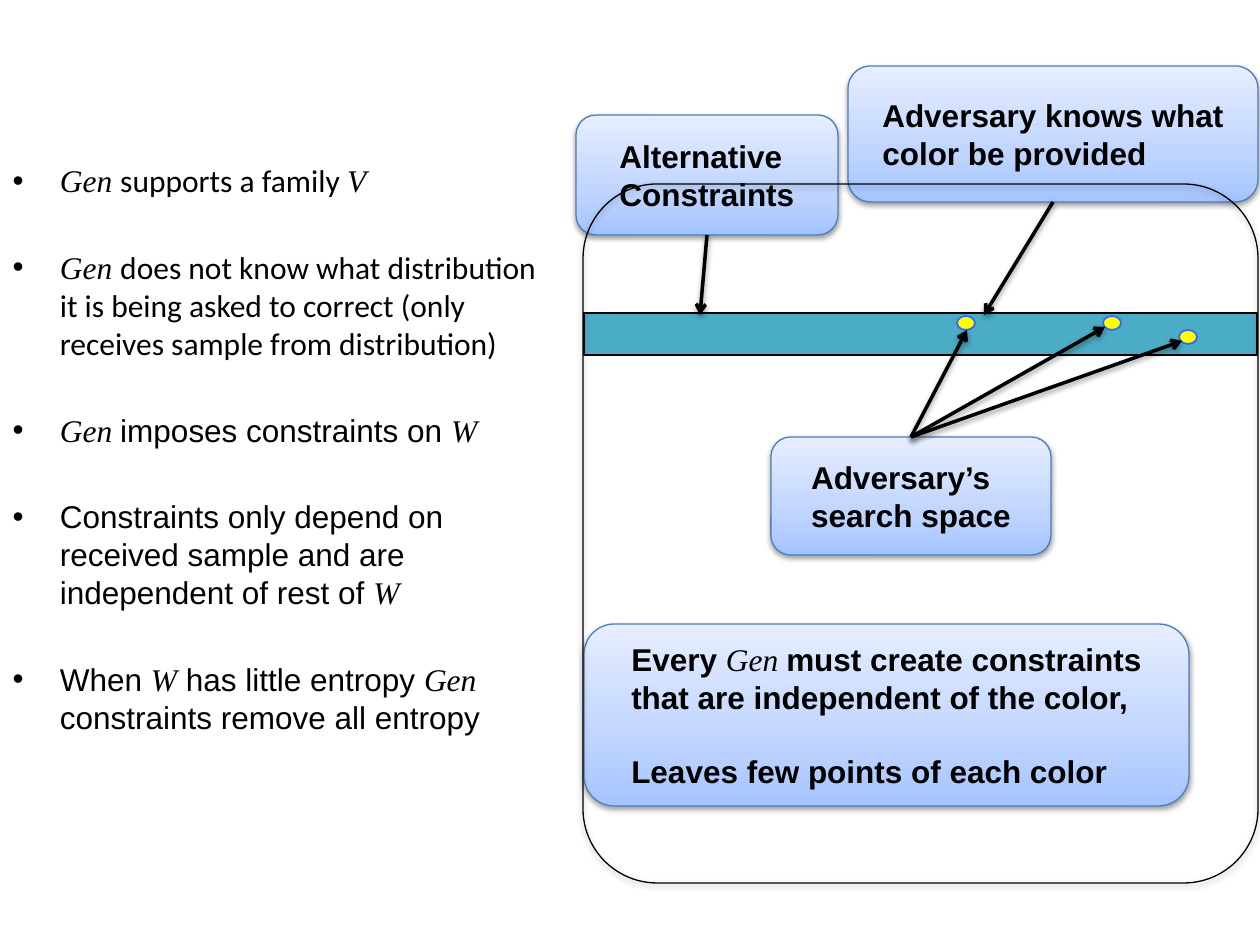
"""Build the slide on constraints that Gen imposes and the adversary's search space."""
from copy import deepcopy

from lxml import etree
from pptx import Presentation
from pptx.dml.color import RGBColor
from pptx.enum.shapes import MSO_CONNECTOR as Connector, MSO_SHAPE as Shape
from pptx.enum.text import MSO_ANCHOR as Anchor, MSO_AUTO_SIZE as AutoSize, PP_ALIGN as Align
from pptx.oxml import parse_xml
from pptx.oxml.ns import nsdecls, qn
from pptx.util import Pt

SCALE = 914400 / 126
BLACK = RGBColor(0x00, 0x00, 0x00)
TEAL = RGBColor(0x4B, 0xAC, 0xC6)
YELLOW = RGBColor(0xFF, 0xFF, 0x00)
DOT_BLUE = RGBColor(0x33, 0x66, 0xFF)
EDGE_BLUE = RGBColor(0x4B, 0x7E, 0xBC)
GRADIENT = [
    (0, RGBColor(0xA4, 0xC4, 0xFF)),
    (0.35, RGBColor(0xBF, 0xD4, 0xFF)),
    (1, RGBColor(0xE6, 0xEE, 0xFF)),
]
SHADOW = (
    f'<a:effectLst {nsdecls("a")}><a:outerShdw blurRad="40000" dist="20000" dir="5400000" '
    'rotWithShape="0"><a:srgbClr val="000000"><a:alpha val="38000"/></a:srgbClr>'
    "</a:outerShdw></a:effectLst>"
)
CALIBRI = {"name": "Calibri", "italic": False}
ARIAL = {"name": "Arial", "italic": False}
BOLD = {"name": "Arial", "bold": True}
MATH = {"name": "Times New Roman", "italic": True, "bold": False}


def px(*lengths):
    return [round(length * SCALE) for length in lengths]


def add_spans(para, spans):
    for text, style in spans:
        span = para.add_run()
        span.text = text
        span.font.color.rgb = BLACK
        for name, value in {"size": Pt(18), **style}.items():
            setattr(span.font, name, value)


deck = Presentation()
deck.slide_width, deck.slide_height = px(1260, 945)
page = deck.slides.add_slide(deck.slide_layouts[1])
title, body = page.placeholders
title.element.getparent().remove(title.element)

points = [
    [("Gen ", MATH), ("supports a family ", CALIBRI), ("V", MATH)],
    [
        ("Gen ", MATH),
        ("does not know what distribution it is being asked to correct "
         "(only receives sample from distribution)", CALIBRI),
    ],
    [("Gen ", MATH), ("imposes constraints on ", ARIAL), ("W", MATH)],
    [
        ("Constraints only depend on received sample and are independent of rest of ", ARIAL),
        ("W", MATH),
    ],
    [
        ("When ", ARIAL), ("W", MATH), (" has little entropy ", ARIAL),
        ("Gen ", MATH), ("constraints remove all entropy", ARIAL),
    ],
]
body.left, body.top, body.width, body.height = px(0, 155, 560, 711)
body.text_frame.auto_size = AutoSize.NONE
for index, spans in enumerate(points):
    para = body.text_frame.add_paragraph() if index else body.text_frame.paragraphs[0]
    para.space_before = Pt(28 if index else 0)
    add_spans(para, spans)

flat_shapes = [(Shape.RECTANGLE, (584, 313, 673, 42), TEAL, BLACK)]
for left, top in [(957, 316), (1179, 330), (1103, 316)]:
    flat_shapes.append((Shape.OVAL, (left, top, 18, 14), YELLOW, DOT_BLUE))
for kind, place, fill_color, line_color in flat_shapes:
    shape = page.shapes.add_shape(kind, *px(*place))
    shape.shadow.inherit = False
    shape.fill.solid()
    shape.fill.fore_color.rgb = fill_color
    shape.line.color.rgb = line_color
    shape.line.width = Pt(1)

callouts = {
    "alternative": ((576, 115, 262, 120), [[("Alternative Constraints", BOLD)]]),
    "search": ((771, 437, 280, 118), [[("Adversary’s search space", BOLD)]]),
    "conclusion": (
        (584, 624, 605, 182),
        [
            [
                ("Every ", BOLD), ("Gen ", MATH),
                ("must create constraints that are independent of the color,", BOLD),
            ],
            [("Leaves few points of each color", BOLD)],
        ],
    ),
    "knowledge": ((848, 66, 410, 136), [[("Adversary knows what color be provided", BOLD)]]),
}
boxes = {}
for name, (place, lines) in callouts.items():
    box = boxes[name] = page.shapes.add_shape(Shape.ROUNDED_RECTANGLE, *px(*place))
    box.fill.gradient()
    box.fill.gradient_angle = 90
    first_stop = box.element.spPr.find(".//" + qn("a:gs"))
    first_stop.addnext(deepcopy(first_stop))
    for stop, (position, color) in zip(box.fill.gradient_stops, GRADIENT):
        stop.position = position
        stop.color.rgb = color
    box.line.color.rgb = EDGE_BLUE
    box.line.width = Pt(0.75)
    box.element.spPr.append(parse_xml(SHADOW))
    frame = box.text_frame
    frame.word_wrap = True
    frame.vertical_anchor = Anchor.MIDDLE
    for side in ("left", "top", "right", "bottom"):
        setattr(frame, f"margin_{side}", px(6)[0])
    frame._txBody.bodyPr.set("anchorCtr", "1")
    for index, spans in enumerate(lines):
        para = frame.add_paragraph() if index else frame.paragraphs[0]
        para.alignment = Align.LEFT
        para.space_before = Pt(21 if index else 0)
        add_spans(para, spans)

arrows = [
    ("knowledge", 2, (984, 315)),
    ("alternative", 2, (700, 315)),
    ("search", 0, (1182, 341)),
    ("search", 0, (1105, 327)),
    ("search", 0, (967, 330)),
]
for name, site, end in arrows:
    arrow = page.shapes.add_connector(Connector.STRAIGHT, 0, 0, *px(*end))
    arrow.begin_connect(boxes[name], site)
    arrow.line.color.rgb = BLACK
    arrow.line.width = Pt(2)
    etree.SubElement(arrow.line._get_or_add_ln(), qn("a:tailEnd"), type="arrow")
    arrow.element.spPr.append(parse_xml(SHADOW))

outline = page.shapes.add_shape(Shape.ROUNDED_RECTANGLE, *px(583, 184, 675, 699))
outline.adjustments[0] = 0.11
outline.fill.background()
outline.line.color.rgb = BLACK
outline.line.width = Pt(0.75)
outline.element.spPr.append(parse_xml(SHADOW))

deck.save("out.pptx")
